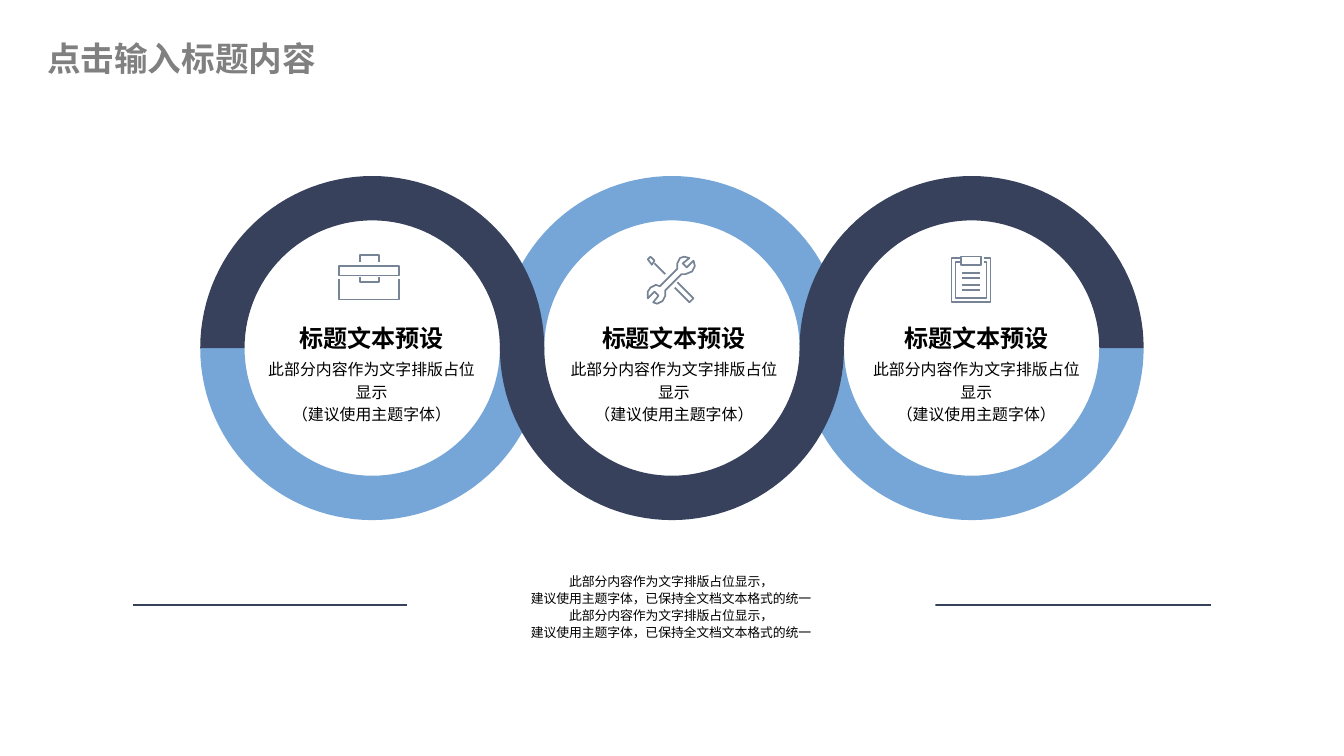
"""Build a slide with three interlocking rings, each holding an icon and a caption."""
from math import cos, pi, sin

from lxml import etree
from pptx import Presentation
from pptx import util as u
from pptx.dml.color import RGBColor
from pptx.enum import shapes, text
from pptx.oxml.ns import qn

NAVY = RGBColor(0x37, 0x41, 0x5C)
BLUE = RGBColor(0x76, 0xA6, 0xD7)
SLATE = RGBColor(0x77, 0x84, 0x95)
GREY = RGBColor(0x80, 0x80, 0x80)
BLACK = RGBColor(0, 0, 0)
WHITE = RGBColor(0xFF, 0xFF, 0xFF)
FONT = "Noto Sans CJK SC"

RING_CENTERS = [2.77, 5, 7.23]
RING_Y, OUTER, INNER = 2.59, 1.28, 0.95
ARC_STEPS = 60


def write(frame, lines, size, color, align, bold=False, spacing=None, inset=(0, 0)):
    frame.margin_left = frame.margin_right = u.Inches(inset[0])
    frame.margin_top = frame.margin_bottom = u.Inches(inset[1])
    frame.auto_size = text.MSO_AUTO_SIZE.NONE
    paragraph = frame.paragraphs[0]
    paragraph.alignment = align
    if spacing:
        paragraph.line_spacing = spacing
    for index, line in enumerate(lines):
        if index:
            paragraph.add_line_break()
        run = paragraph.add_run()
        run.text = line
        run.font.size = u.Pt(size)
        run.font.bold = bold
        run.font.color.rgb = color
        run.font.name = FONT
        etree.SubElement(run.font._element, qn("a:ea"), typeface=FONT)


def outline(slide, contours):
    builder = None
    for points, closed in contours:
        start, *rest = [(u.Inches(x), u.Inches(y)) for x, y in points]
        if builder is None:
            builder = slide.shapes.build_freeform(*start)
        else:
            builder.move_to(*start)
        builder.add_line_segments(rest, close=closed)
    shape = builder.convert_to_shape()
    shape.shadow.inherit = False
    return shape


prs = Presentation()
prs.slide_width = u.Inches(10)
prs.slide_height = prs.slide_width * 9 // 16
slide = prs.slides.add_slide(prs.slide_layouts[5])

title = slide.shapes.title
title.left, title.top = u.Inches(0.35), u.Inches(0.22)
title.width, title.height = u.Inches(2.33), u.Inches(0.42)
title.text_frame.vertical_anchor = text.MSO_ANCHOR.MIDDLE
write(title.text_frame, ["点击输入标题内容"], 18, GREY, text.PP_ALIGN.LEFT,
      bold=True, inset=(0, 0.05))

rule = slide.shapes.add_connector(shapes.MSO_CONNECTOR.STRAIGHT,
                                  u.Inches(0.99), u.Inches(4.5), u.Inches(9.01), u.Inches(4.5))
rule.line.color.rgb = NAVY
rule.line.width = u.Pt(1)
etree.SubElement(rule._element.spPr, qn("a:effectLst"))

for caption_left in [1.95, 4.2, 6.45]:
    heading = slide.shapes.add_textbox(u.Inches(caption_left), u.Inches(2.41),
                                       u.Inches(1.63), u.Inches(0.19)).text_frame
    heading.word_wrap = False
    write(heading, ["标题文本预设"], 12.9, BLACK, text.PP_ALIGN.CENTER, bold=True)
    detail = slide.shapes.add_textbox(u.Inches(caption_left), u.Inches(2.64),
                                      u.Inches(1.63), u.Inches(0.52)).text_frame
    detail.word_wrap = True
    detail.vertical_anchor = text.MSO_ANCHOR.MIDDLE
    write(detail, ["此部分内容作为文字排版占位显示", "（建议使用主题字体）"],
          8.5, BLACK, text.PP_ALIGN.CENTER, spacing=1.2)

left_ring, middle_ring, right_ring = RING_CENTERS
UP, DOWN = -1, 1
for center, side, color in [
    (middle_ring, UP, BLUE), (right_ring, DOWN, BLUE), (left_ring, DOWN, BLUE),
    (left_ring, UP, NAVY), (right_ring, UP, NAVY), (middle_ring, DOWN, NAVY),
]:
    angles = [pi * step / ARC_STEPS for step in range(ARC_STEPS + 1)]
    edge = [(OUTER, angle) for angle in angles] + [(INNER, angle) for angle in reversed(angles)]
    half_ring = outline(slide, [([(center + radius * cos(angle), RING_Y + side * radius * sin(angle))
                                  for radius, angle in edge], True)])
    half_ring.fill.solid()
    half_ring.fill.fore_color.rgb = color
    half_ring.line.fill.background()

briefcase = [
    ([(2.68, 1.95), (2.68, 1.9), (2.82, 1.9), (2.82, 1.95)], False),
    ([(2.52, 1.98), (2.97, 1.98), (2.97, 2.05), (2.52, 2.05)], True),
    ([(2.68, 2.06), (2.68, 2.1), (2.82, 2.1), (2.82, 2.06)], False),
    ([(2.52, 2.08), (2.52, 2.23), (2.97, 2.23), (2.97, 2.08)], False),
]
tools = [
    ([(4.84, 1.91), (4.87, 1.94), (4.85, 1.97), (4.82, 1.93)], True),
    ([(4.87, 1.96), (4.95, 2.04)], False),
    ([(5.02, 2.14), (5.13, 2.25), (5.16, 2.22), (5.04, 2.1)], False),
    ([(5.13, 1.92), (5.08, 1.96), (5.11, 1.99), (5.16, 1.94), (5.17, 1.98), (5.15, 2.02),
      (5.1, 2.04), (5.07, 2.04), (4.95, 2.16), (4.95, 2.2), (4.93, 2.24), (4.89, 2.26),
      (4.86, 2.25), (4.9, 2.2), (4.87, 2.17), (4.82, 2.22), (4.82, 2.17), (4.84, 2.14),
      (4.88, 2.12), (4.91, 2.13), (5.04, 2), (5.04, 1.96), (5.06, 1.92), (5.09, 1.91)], True),
]
clipboard = [([(7.16, y), (7.29, y)], False) for y in (2.03, 2.07, 2.12, 2.16)] + [
    ([(7.15, 1.91), (7.3, 1.91), (7.3, 1.97), (7.15, 1.97)], True),
    ([(7.14, 1.95), (7.11, 1.95), (7.11, 2.22), (7.34, 2.22), (7.34, 1.95), (7.32, 1.95)], False),
    ([(7.14, 1.92), (7.08, 1.92), (7.08, 2.25), (7.37, 2.25), (7.37, 1.92), (7.32, 1.92)], False),
]
for contours in (briefcase, tools, clipboard):
    icon = outline(slide, contours)
    icon.fill.background()
    icon.line.color.rgb = SLATE
    icon.line.width = u.Pt(0.9)
    etree.SubElement(icon.line._get_or_add_ln(), qn("a:round"))

summary = slide.shapes.add_shape(shapes.MSO_SHAPE.RECTANGLE, u.Inches(3.03), u.Inches(4.15),
                                 u.Inches(3.93), u.Inches(0.72))
summary.shadow.inherit = False
summary.fill.solid()
summary.fill.fore_color.rgb = WHITE
summary.line.fill.background()
summary.text_frame.word_wrap = True
summary.text_frame.vertical_anchor = text.MSO_ANCHOR.MIDDLE
write(summary.text_frame,
      ["此部分内容作为文字排版占位显示，", "建议使用主题字体，已保持全文档文本格式的统一"] * 2,
      6.9, BLACK, text.PP_ALIGN.CENTER, spacing=1.1, inset=(0.08, 0.08))

prs.save("out.pptx")
